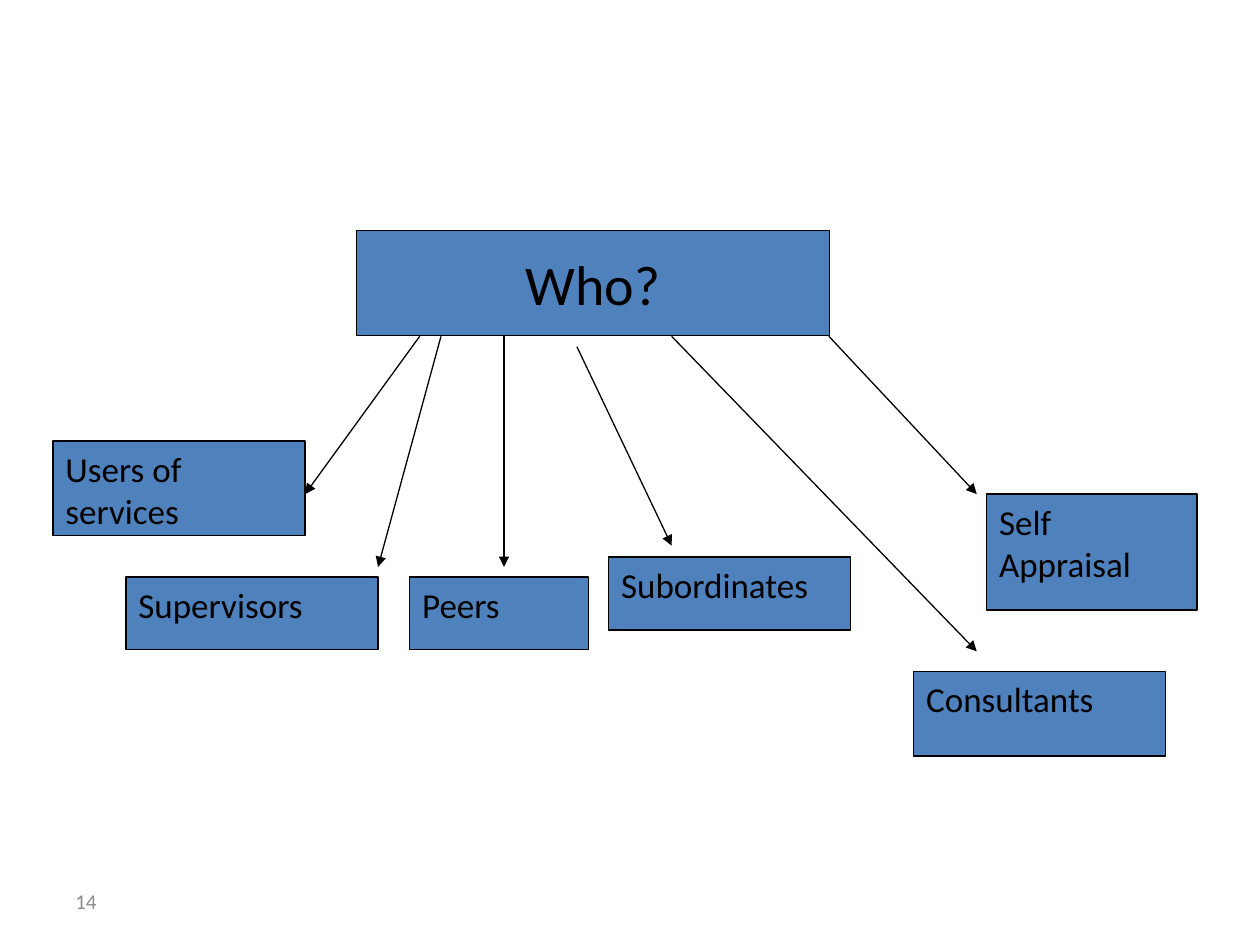
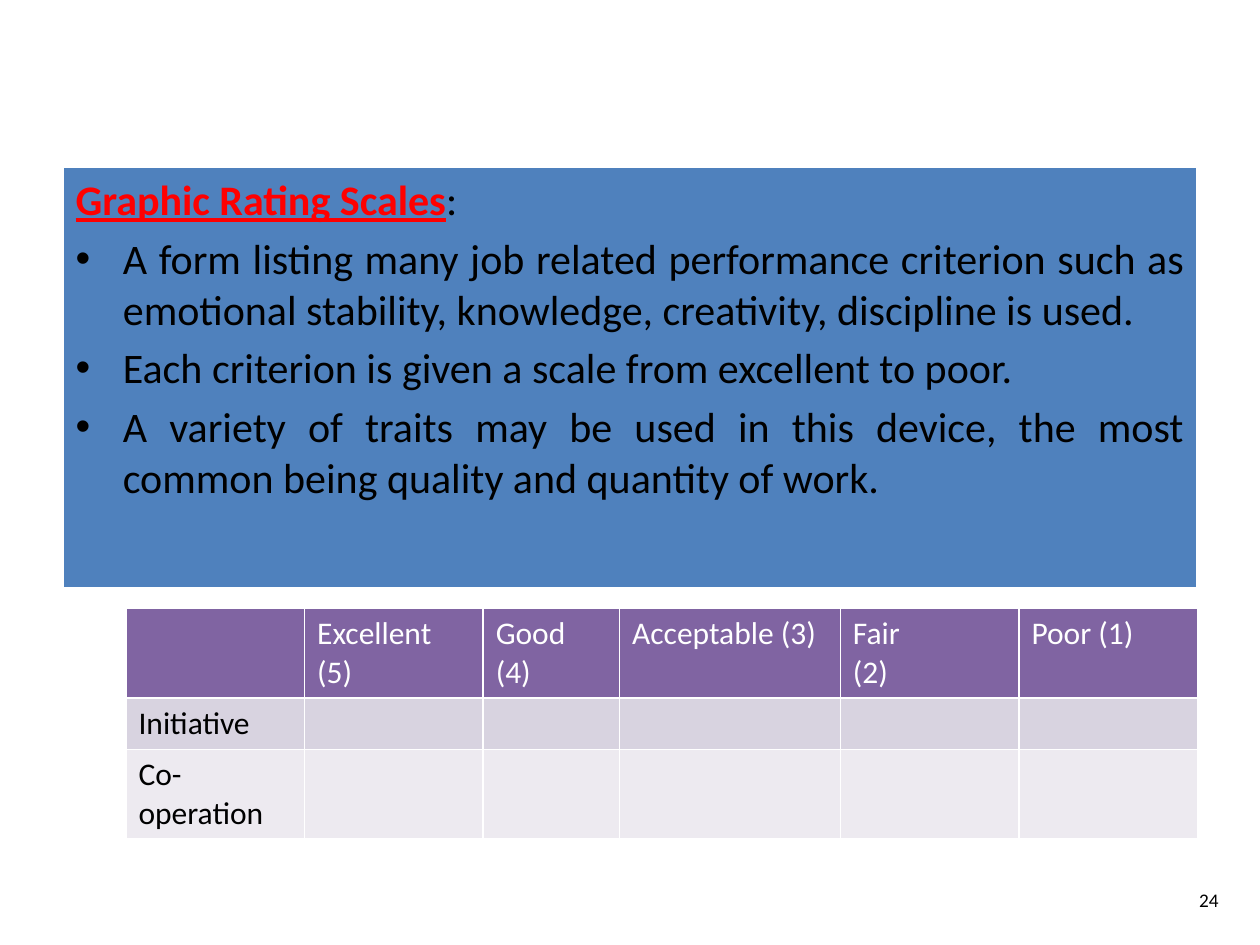
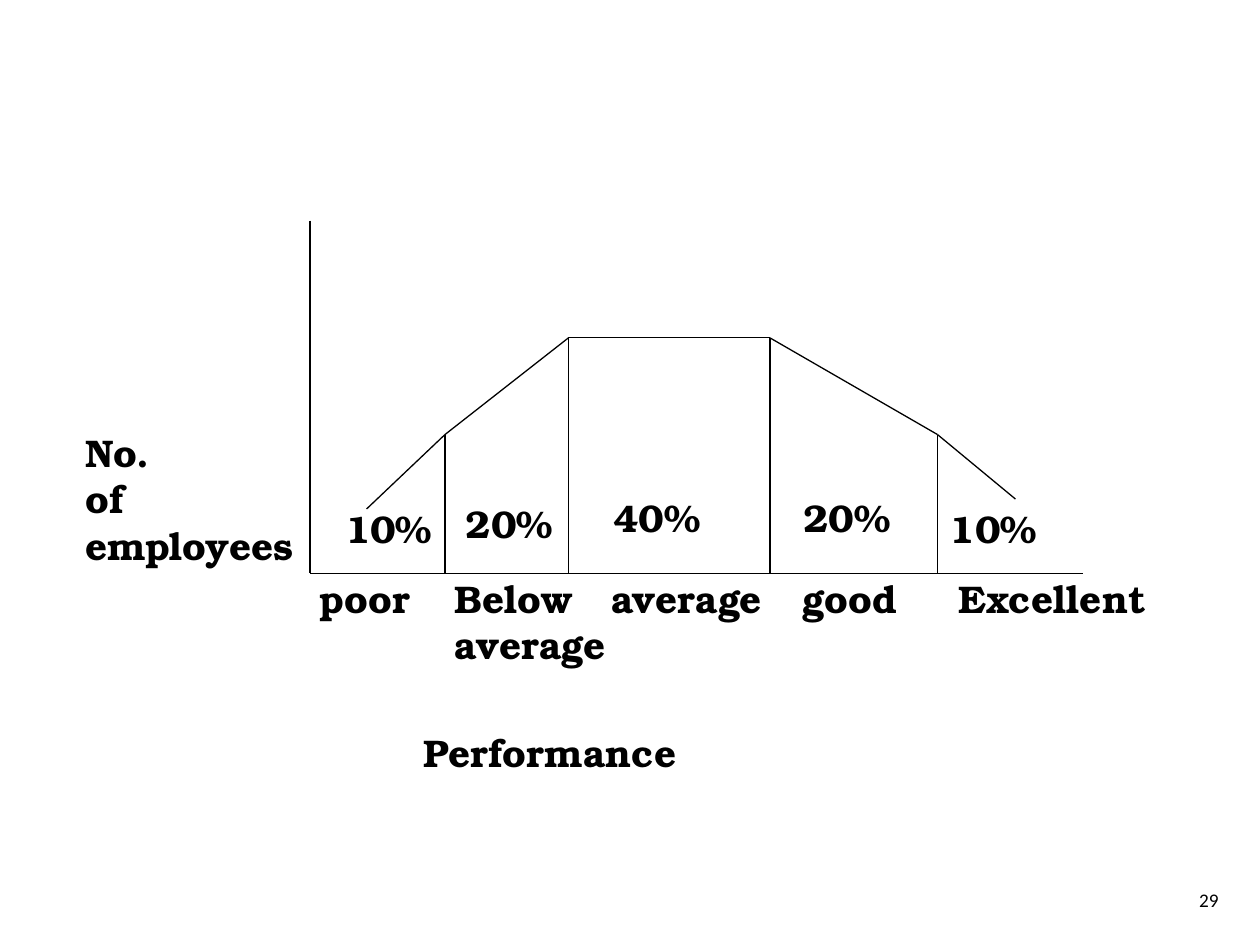
"""Build three slides on who appraises staff, rating scales and forced distribution."""
from lxml.etree import SubElement
from pptx import Presentation
from pptx.dml.color import RGBColor
from pptx.enum.shapes import MSO_CONNECTOR as Link, MSO_SHAPE as Shape
from pptx.enum.text import MSO_ANCHOR as Anchor, MSO_AUTO_SIZE as Fit, PP_ALIGN as Align
from pptx.oxml.ns import qn
from pptx.util import Cm, Pt

BLACK = RGBColor(0, 0, 0)
WHITE = RGBColor(255, 255, 255)
GRAY = RGBColor(0x8C, 0x8C, 0x8C)
RED = RGBColor(255, 0, 0)
BLUE = RGBColor(0x4F, 0x81, 0xBD)
HEAD = RGBColor(0x80, 0x64, 0xA2)
BANDS = [HEAD, RGBColor(0xD8, 0xD3, 0xE0), RGBColor(0xED, 0xEA, 0xF0)]
SANS = "Calibri"
SERIF = "TeX Gyre Bonum"
NUMBER = (18.9, 17.78, 5.92, 1.27)


def label(slide, text, spot, size, face=SANS, color=BLACK, fill=None,
          align=Align.LEFT, anchor=Anchor.TOP, wrap=True):
    """Add a text box, or a filled and outlined one, at spot in cm."""
    place = [Cm(n) for n in spot]
    if fill is None:
        box = slide.shapes.add_textbox(*place)
    else:
        box = slide.shapes.add_shape(Shape.RECTANGLE, *place)
        box.shadow.inherit = False
        box.fill.solid()
        box.fill.fore_color.rgb = fill
        box.line.color.rgb = BLACK
        box.line.width = Pt(0.75)
    frame = box.text_frame
    frame.text = text
    frame.word_wrap = wrap
    frame.vertical_anchor = anchor
    for para in frame.paragraphs:
        para.alignment = align
        font = para.font
        font.name, font.size, font.bold = face, Pt(size), face == SERIF
        font.color.rgb = color


def line(slide, start, end, arrow=False):
    """Draw a thin black line between two points in cm."""
    link = slide.shapes.add_connector(Link.STRAIGHT, *[Cm(n) for n in (*start, *end)])
    link.line.color.rgb = BLACK
    link.line.width = Pt(0.75)
    if arrow:
        SubElement(link.line._get_or_add_ln(), qn("a:tailEnd"), type="triangle")
    SubElement(link._element.spPr, qn("a:effectLst"))


deck = Presentation()
deck.slide_width, deck.slide_height = Cm(25.4), Cm(19.05)
blank = deck.slide_layouts[6]

who = deck.slides.add_slide(blank)
label(who, "14", (1.27, 17.65, 5.92, 1.02), 12, color=GRAY, anchor=Anchor.MIDDLE)
label(who, "Who?", (7.19, 4.65, 9.53, 2.11), 32, fill=BLUE,
      align=Align.CENTER, anchor=Anchor.MIDDLE, wrap=False)
raters = [
    ("Users of services", (1.07, 8.89, 5.08, 1.91), (8.46, 6.78), (6.15, 9.96)),
    ("Supervisors", (2.54, 11.63, 5.08, 1.47), (8.89, 6.78), (7.62, 11.43)),
    ("Peers", (8.26, 11.63, 3.61, 1.47), (10.16, 6.78), (10.16, 11.43)),
    ("Subordinates", (12.27, 11.23, 4.88, 1.47), (11.63, 6.99), (13.54, 11)),
    ("Consultants", (18.42, 13.54, 5.08, 1.7), (13.54, 6.78), (19.69, 13.13)),
    ("Self Appraisal", (19.89, 9.96, 4.24, 2.34), (16.71, 6.78), (19.69, 9.96)),
]
for name, spot, start, end in raters:
    line(who, start, end, arrow=True)
    label(who, name, spot, 20, fill=BLUE)

scale = deck.slides.add_slide(deck.slide_layouts[1])
title = scale.shapes.title
title._element.getparent().remove(title._element)
body = scale.placeholders[1]
body.left, body.top, body.width, body.height = Cm(1.27), Cm(3.38), Cm(22.86), Cm(8.46)
body.fill.solid()
body.fill.fore_color.rgb = BLUE
body.line.color.rgb = WHITE
body.line.width = Pt(0.75)
frame = body.text_frame
frame.text = "\n".join([
    "Graphic Rating Scales",
    "A form listing many job related performance criterion such as emotional stability, "
    "knowledge, creativity, discipline is used.",
    "Each criterion is given a scale from excellent to poor.",
    "A variety of traits may be used in this device, the most common being quality and "
    "quantity of work.",
])
frame.auto_size = Fit.NONE
topic, *points = frame.paragraphs
SubElement(topic._p.get_or_add_pPr(), qn("a:buNone"))
topic.space_before = Pt(0)
topic.add_run().text = ":"
for para in frame.paragraphs:
    for run in para.runs:
        run.font.name, run.font.size = SANS, Pt(24)
        run.font.color.rgb = BLACK
for para in points:
    para.alignment = Align.JUSTIFY
lead = topic.runs[0].font
lead.bold = lead.underline = True
lead.color.rgb = RED

rows = [
    ["", "Excellent (5)", "Good (4)", "Acceptable (3)", "Fair\n(2)", "Poor (1)"],
    ["Initiative"] + [""] * 5,
    ["Co-operation"] + [""] * 5,
]
grid = scale.shapes.add_table(3, 6, Cm(2.54), Cm(12.27), Cm(21.6), Cm(4.61)).table
for col, width in zip(grid.columns, [3.6, 3.6, 2.75, 4.45, 3.6, 3.6]):
    col.width = Cm(width)
for row, height, texts, band in zip(grid.rows, [1.79, 1.03, 1.79], rows, BANDS):
    row.height = Cm(height)
    for cell, text in zip(row.cells, texts):
        cell.text = text
        cell.fill.solid()
        cell.fill.fore_color.rgb = band
        for para in cell.text_frame.paragraphs:
            font = para.font
            font.name, font.size, font.bold = SANS, Pt(18), False
            font.color.rgb = WHITE if band == HEAD else BLACK
label(scale, "24", NUMBER, 11, align=Align.RIGHT)

curve = deck.slides.add_slide(blank)
label(curve, "29", NUMBER, 11, align=Align.RIGHT)
label(curve, "No.\nof\nemployees", (1.47, 8.53, 4.95, 3.12), 22, SERIF)
base = 11.56
line(curve, (6.25, 4.45), (6.25, base))
line(curve, (6.25, base), (21.84, base))
bends = [(7.39, 10.26), (8.97, 8.76), (11.46, 6.81),
         (15.52, 6.81), (18.9, 8.76), (20.47, 10.06)]
for start, end in zip(bends, bends[1:]):
    line(curve, start, end)
for x, y in bends[1:-1]:
    line(curve, (x, y), (x, base))
grades = [
    ("10%", 6.71, 10.06, "poor", 6.2, 2.51, 1.22),
    ("20%", 9.14, 9.96, "Below\naverage", 8.92, 3.86, 2.18),
    ("40%", 12.12, 9.83, "average", 12.07, 3.86, 1.22),
    ("20%", 15.95, 9.83, "good", 15.93, 2.59, 1.22),
    ("10%", 18.9, 10.06, "Excellent", 19.08, 4.62, 1.22),
]
for share, x, y, grade, left, width, height in grades:
    label(curve, share, (x, y, 2.44, 1.22), 22, SERIF, wrap=False)
    label(curve, grade, (left, 11.46, width, height), 22, SERIF, wrap=False)
label(curve, "Performance", (8.28, 14.58, 5.66, 1.22), 22, SERIF, wrap=False)

deck.save("out.pptx")
